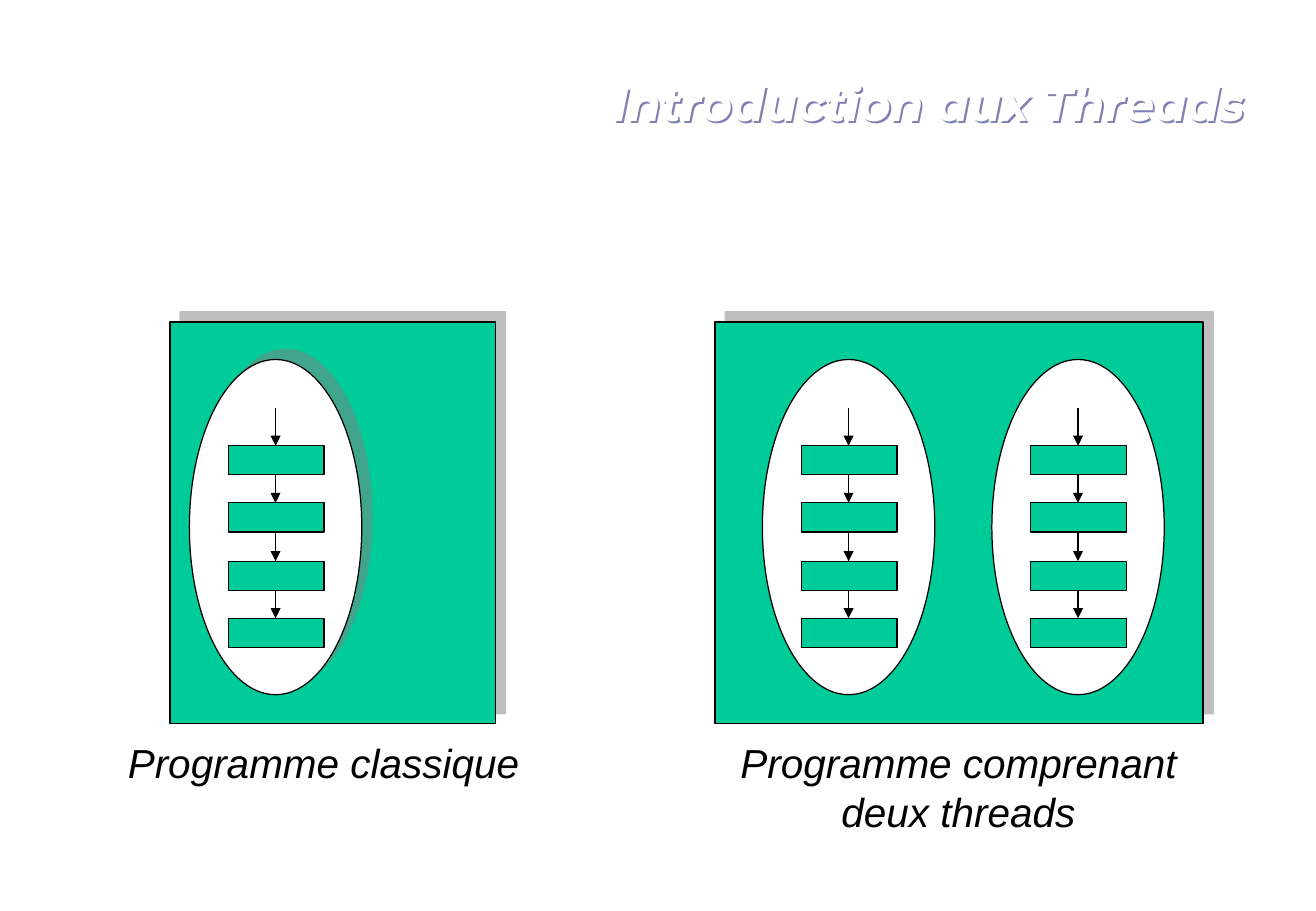
from dataclasses import dataclass

from lxml.etree import SubElement
from pptx import Presentation
from pptx.dml.color import RGBColor
from pptx.enum.shapes import MSO_CONNECTOR as Link, MSO_SHAPE as Shape
from pptx.enum.text import MSO_ANCHOR as Anchor, PP_ALIGN as Align
from pptx.oxml.ns import qn
from pptx.util import Pt

SCALE = 9144


@dataclass(frozen=True)
class Theme:
    green: str = "00CC99"
    white: str = "FFFFFF"
    ink: str = "000000"
    shade: str = "808080"
    title_shade: str = "8080B2"
    title_font: str = "Montserrat"
    body_font: str = "Arial"
    title_size: int = 28
    caption_size: int = 24
    line_width: float = 0.75


class Board:
    """Draws themed elements on one slide, with lengths in px."""

    def __init__(self, slide, theme):
        self.slide, self.theme = slide, theme

    def px(self, *lengths):
        return [round(length * SCALE) for length in lengths]

    def outline(self, line):
        line.color.rgb = RGBColor.from_string(self.theme.ink)
        line.width = Pt(self.theme.line_width)

    def shadow(self, shape, color, distance, degrees, opacity):
        effects = shape._element.spPr.get_or_add_effectLst() if hasattr(
            shape._element.spPr, "get_or_add_effectLst") else SubElement(
            shape._element.spPr, qn("a:effectLst"))
        outer = SubElement(effects, qn("a:outerShdw"), blurRad="0",
                           dist=str(Pt(distance)), dir=str(degrees * 60000),
                           algn="ctr", rotWithShape="0")
        tint = SubElement(outer, qn("a:srgbClr"), val=color)
        SubElement(tint, qn("a:alpha"), val=str(opacity * 1000))

    def block(self, kind, box, color, shaded=False):
        shape = self.slide.shapes.add_shape(kind, *self.px(*box))
        shape.fill.solid()
        shape.fill.fore_color.rgb = RGBColor.from_string(color)
        self.outline(shape.line)
        if shaded:
            self.shadow(shape, self.theme.shade, 8.5, 315, 50)
        else:
            shape.shadow.inherit = False

    def arrow(self, x, top, bottom):
        arrow = self.slide.shapes.add_connector(
            Link.STRAIGHT, *self.px(x, top, x, bottom))
        self.outline(arrow.line)
        SubElement(arrow.line._get_or_add_ln(), qn("a:tailEnd"), type="triangle")
        SubElement(arrow._element.spPr, qn("a:effectLst"))

    def text(self, words, box, color, frame_format, paragraph_format, font_format):
        holder = self.slide.shapes.add_textbox(*self.px(*box))
        frame = holder.text_frame
        paragraph = frame.paragraphs[0]
        run = paragraph.add_run()
        run.text = words
        formats = (
            (frame, {"word_wrap": True, **frame_format}),
            (paragraph, paragraph_format),
            (run.font, {"italic": True, **font_format}),
        )
        for target, values in formats:
            for name, value in values.items():
                setattr(target, name, value)
        run.font.color.rgb = RGBColor.from_string(color)
        return holder

    def title(self, words, box):
        theme = self.theme
        title = self.text(
            words, box, theme.white, {"vertical_anchor": Anchor.MIDDLE},
            {"alignment": Align.RIGHT, "line_spacing": 0.9},
            {"name": theme.title_font, "size": Pt(theme.title_size), "bold": True})
        self.shadow(title, theme.title_shade, 1.6, 45, 100)

    def caption(self, words, box):
        theme = self.theme
        self.text(words, box, theme.ink, {}, {"alignment": Align.CENTER},
                  {"name": theme.body_font, "size": Pt(theme.caption_size)})

    def thread(self, center, shaded=False):
        theme = self.theme
        self.block(Shape.OVAL, (center - 71, 296, 142, 276), theme.white, shaded)
        step_height = 24
        arrow_top = 336
        for step in range(4):
            step_top = 367 + round(47.4 * step)
            self.block(Shape.RECTANGLE, (center - 39, step_top, 79, step_height),
                       theme.green)
            self.arrow(center, arrow_top, step_top)
            arrow_top = step_top + step_height

    def program(self, left, width, centers, shaded_thread):
        self.block(Shape.RECTANGLE, (left, 265, width, 331), self.theme.green, True)
        for center in centers:
            self.thread(center, shaded_thread)


def main():
    deck = Presentation()
    deck.slide_width, deck.slide_height = 1084 * SCALE, 750 * SCALE
    board = Board(deck.slides.add_slide(deck.slide_layouts[6]), Theme())
    board.title("Introduction aux Threads", (48, 25, 987, 125))
    board.program(140, 268, [227], True)
    board.caption("Programme classique", (93, 603, 347, 50))
    board.program(589, 402, [699, 888], False)
    board.caption("Programme comprenant deux threads", (565, 603, 449, 90))
    deck.save("out.pptx")


if __name__ == "__main__":
    main()
